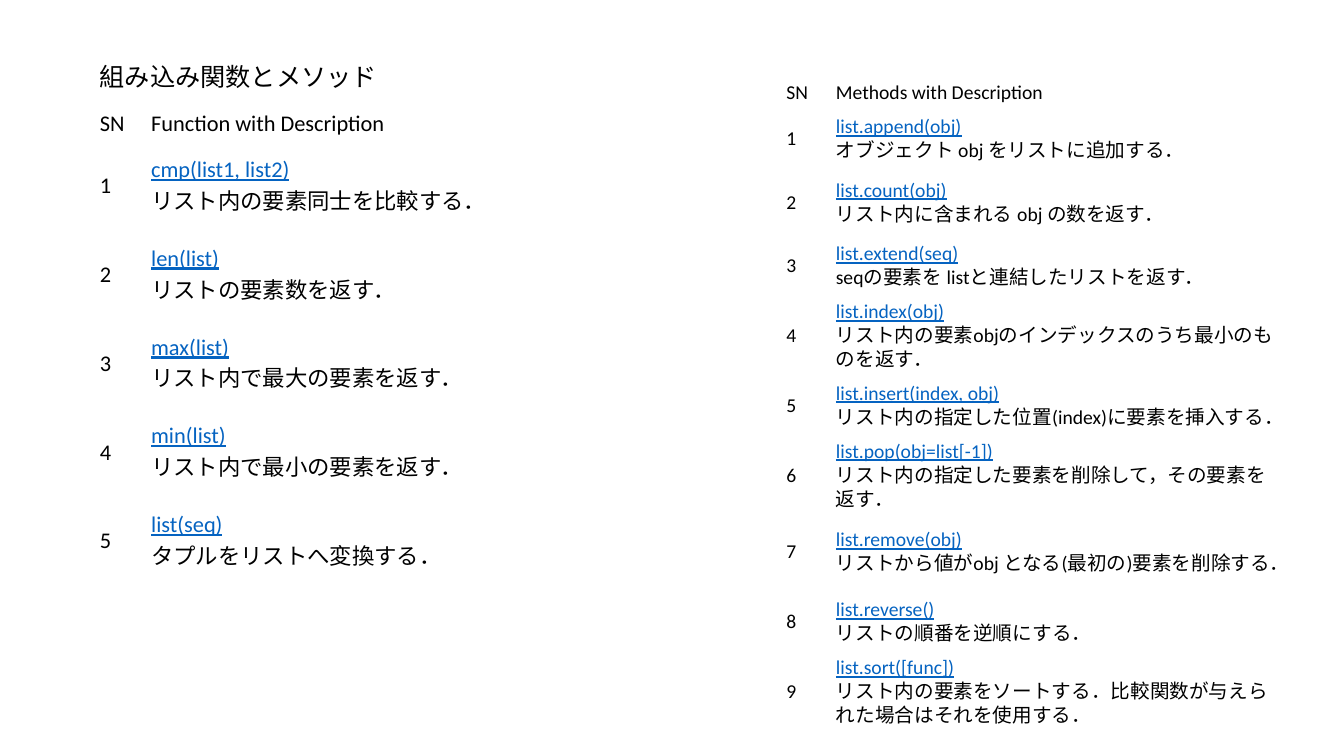
from lxml import etree
from pptx import Presentation
from pptx import util as u
from pptx.dml.color import RGBColor
from pptx.enum import text
from pptx.oxml import ns

BLACK = RGBColor(0x00, 0x00, 0x00)
LINK = RGBColor(0x05, 0x63, 0xC1)
LATIN, JAPANESE = "Calibri", "Noto Sans CJK JP"
WIDTH, HEIGHT = u.Inches(13.33), u.Inches(7.5)

FUNCTIONS = [
    ("cmp(list1, list2)", "リスト内の要素同士を比較する．"),
    ("len(list)", "リストの要素数を返す．"),
    ("max(list)", "リスト内で最大の要素を返す．"),
    ("min(list)", "リスト内で最小の要素を返す．"),
    ("list(seq)", "タプルをリストへ変換する．"),
]
METHODS = [
    ("list.append(obj)", "オブジェクト obj をリストに追加する．"),
    ("list.count(obj)", "リスト内に含まれる obj の数を返す．"),
    ("list.extend(seq)", "seqの要素を listと連結したリストを返す．"),
    ("list.index(obj)", "リスト内の要素objのインデックスのうち最小のものを返す．"),
    ("list.insert(index, obj)", "リスト内の指定した位置(index)に要素を挿入する．"),
    ("list.pop(obj=list[-1])", "リスト内の指定した要素を削除して，その要素を返す．"),
    ("list.remove(obj)", "リストから値がobj となる(最初の)要素を削除する．"),
    ("list.reverse()", "リストの順番を逆順にする．"),
    ("list.sort([func])", "リスト内の要素をソートする．比較関数が与えられた場合はそれを使用する．"),
]


def style(p, size, east_asian, color=BLACK, underline=False, latin=LATIN):
    """Set the Latin and East Asian fonts, size and colour of a paragraph."""
    p.font.size = u.Pt(size)
    p.font.name = latin
    p.font.color.rgb = color
    p.font.underline = underline
    props = p._p.pPr.find(ns.qn("a:defRPr"))
    etree.SubElement(props, ns.qn("a:ea"), typeface=east_asian)


def fill_cell(cell, lines, size, inset, east_asian):
    """Write lines into a plain cell, underlining the first of two as a signature."""
    cell.fill.background()
    cell.vertical_anchor = text.MSO_ANCHOR.MIDDLE
    cell.margin_left = cell.margin_right = u.Inches(inset[0])
    cell.margin_top = cell.margin_bottom = u.Inches(inset[1])
    tf = cell.text_frame
    tf.text = "\n".join(lines)
    for i, p in enumerate(tf.paragraphs):
        signature = len(lines) == 2 and i == 0
        style(p, size, east_asian, LINK if signature else BLACK, signature)


def add_reference(s, box, heading, entries, number_width, header_height, size,
                  inset, east_asian):
    """Place a numbered reference table in a left, top, width, height box."""
    x, y, w, h = box
    table = s.shapes.add_table(len(entries) + 1, 2, *map(u.Inches, box)).table
    table.first_row = table.horz_banding = False
    table.columns[0].width = u.Inches(number_width)
    table.columns[1].width = u.Inches(w - number_width)
    row_height = (h - header_height) / len(entries)
    rows = [(["SN"], [heading])]
    rows += [([str(n)], entry) for n, entry in enumerate(entries, 1)]
    for i, row in enumerate(rows):
        table.rows[i].height = u.Inches(row_height if i else header_height)
        for j, lines in enumerate(row):
            fill_cell(table.cell(i, j), lines, size, inset, east_asian)


def add_title(s, box):
    """Place the slide heading in a left, top, width, height box."""
    tf = s.shapes.add_textbox(*map(u.Inches, box)).text_frame
    tf.word_wrap = False
    tf.auto_size = text.MSO_AUTO_SIZE.SHAPE_TO_FIT_TEXT
    tf.text = "組み込み関数とメソッド"
    style(tf.paragraphs[0], 18, JAPANESE, latin=JAPANESE)


def main():
    """Build the slide of list functions and methods."""
    prs = Presentation()
    prs.slide_width, prs.slide_height = WIDTH, HEIGHT
    s = prs.slides.add_slide(prs.slide_layouts[6])
    add_reference(s, (7.75, 0.78, 4.95, 5.9), "Methods with Description",
                  METHODS, 0.49, 0.25, 14, (0.05, 0.025), LATIN)
    add_reference(s, (0.9, 1.05, 4.87, 4.76), "Function with Description",
                  FUNCTIONS, 0.51, 0.35, 16, (0.09, 0.04), JAPANESE)
    add_title(s, (0.89, 0.56, 2.98, 0.4))
    prs.save("out.pptx")


if __name__ == "__main__":
    main()
